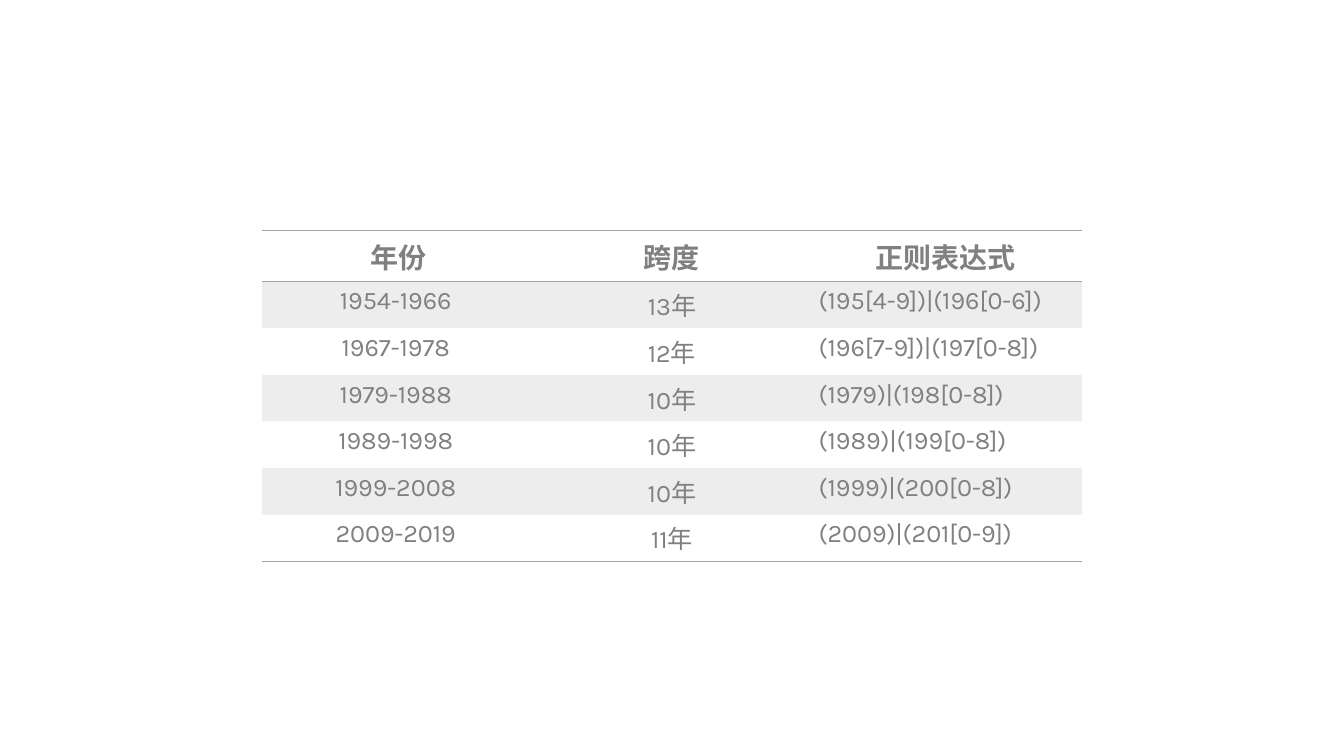
from lxml import etree
from pptx import Presentation
from pptx.dml.color import RGBColor
from pptx.enum.text import MSO_ANCHOR, PP_ALIGN
from pptx.oxml.ns import qn
from pptx.util import Inches, Pt

CENTER, LEFT = PP_ALIGN.CENTER, PP_ALIGN.LEFT
TOP = MSO_ANCHOR.TOP
BLANK_LAYOUT = 6
PLAIN_STYLE = "{2D5ABB26-0587-4C30-8999-92F81FD0307C}"
LATIN_FONT, CHINESE_FONT = "Karla", "Noto Sans CJK SC"
GREY, RULE = "808080", "A5A5A5"
BAND_OPACITY = 20

TABLE_LEFT, TABLE_TOP = 2.6, 2.29
COLUMN_WIDTH = 2.71
HEADER_HEIGHT, ROW_HEIGHT = 0.5, 0.46

HEADINGS = ("年份", "跨度", "正则表达式")
PERIODS = (
    ("1954-1966 ", "13年", "(195[4-9])|(196[0-6])"),
    ("1967-1978 ", "12年", "(196[7-9])|(197[0-8])"),
    ("1979-1988 ", "10年", "(1979)|(198[0-8])"),
    ("1989-1998 ", "10年", "(1989)|(199[0-8])"),
    ("1999-2008 ", "10年", "(1999)|(200[0-8])"),
    ("2009-2019 ", "11年", "(2009)|(201[0-9])"),
)


def color(value):
    return RGBColor.from_string(value)


def write_cell(cell, text, font_name, size, align, bold=False):
    cell.vertical_anchor = TOP
    para = cell.text_frame.paragraphs[0]
    para.alignment = align
    span = para.add_run()
    span.text = text
    font = span.font
    font.size = Pt(size)
    font.bold = bold
    font.color.rgb = color(GREY)
    font.name = font_name
    properties = font._element
    etree.SubElement(properties, qn("a:ea"), typeface=CHINESE_FONT)


def fill_cell(cell, banded):
    if not banded:
        cell.fill.background()
        return
    cell.fill.solid()
    cell.fill.fore_color.rgb = color(RULE)
    shade = cell._tc.tcPr.find(".//" + qn("a:srgbClr"))
    etree.SubElement(shade, qn("a:alpha"), val=str(BAND_OPACITY * 1000))


def rule_cell(cell, edges):
    for position, edge in enumerate(edges):
        line = etree.Element(qn("a:ln" + edge), w=str(Pt(1)))
        fill = etree.SubElement(line, qn("a:solidFill"))
        etree.SubElement(fill, qn("a:srgbClr"), val=RULE)
        cell._tc.get_or_add_tcPr().insert(position, line)


def add_plain_table(page, row_count, column_count):
    height = HEADER_HEIGHT + ROW_HEIGHT * (row_count - 1)
    frame = page.shapes.add_table(
        row_count, column_count, Inches(TABLE_LEFT), Inches(TABLE_TOP),
        Inches(COLUMN_WIDTH * column_count), Inches(height))
    table = frame.table
    table.first_row = table.horz_banding = False
    table._tbl.tblPr.find(qn("a:tableStyleId")).text = PLAIN_STYLE
    for column in table.columns:
        column.width = Inches(COLUMN_WIDTH)
    for index, row in enumerate(table.rows):
        row.height = Inches(ROW_HEIGHT if index else HEADER_HEIGHT)
    return table


def add_period_table(page):
    table = add_plain_table(page, len(PERIODS) + 1, len(HEADINGS))
    for column, heading in enumerate(HEADINGS):
        cell = table.cell(0, column)
        write_cell(cell, heading, CHINESE_FONT, 20, CENTER, bold=True)
        fill_cell(cell, banded=False)
        rule_cell(cell, "TB")
    for row, period in enumerate(PERIODS, start=1):
        for column, (text, align) in enumerate(zip(period, (CENTER, CENTER, LEFT))):
            cell = table.cell(row, column)
            write_cell(cell, text, LATIN_FONT, 18, align)
            fill_cell(cell, banded=row % 2 == 1)
            rule_cell(cell, "B" if row == len(PERIODS) else "")


def main():
    deck = Presentation()
    deck.slide_width, deck.slide_height = Inches(13.33), Inches(7.5)
    page = deck.slides.add_slide(deck.slide_layouts[BLANK_LAYOUT])
    add_period_table(page)
    deck.save("out.pptx")


if __name__ == "__main__":
    main()
